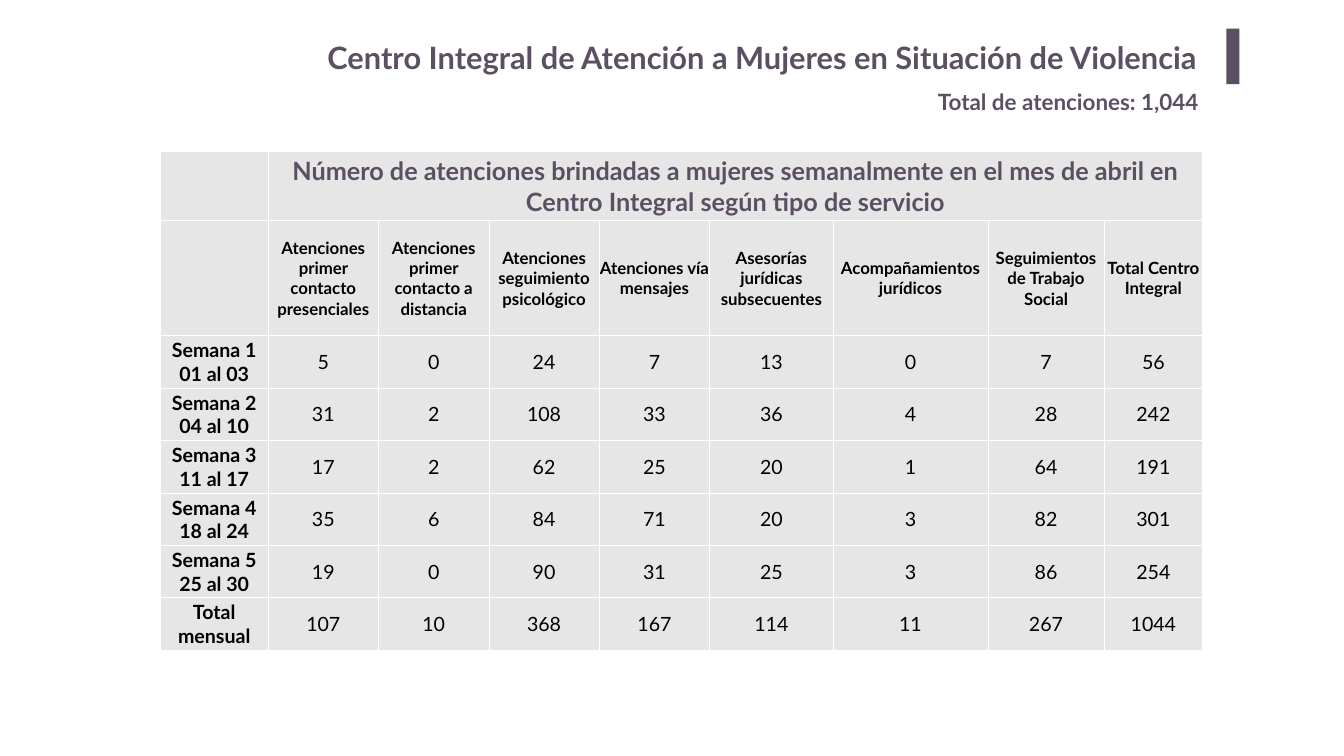
from dataclasses import dataclass

from lxml.etree import SubElement
from pptx import Presentation
from pptx.dml.color import RGBColor
from pptx.enum.shapes import MSO_SHAPE
from pptx.enum.text import MSO_ANCHOR, PP_ALIGN
from pptx.oxml.ns import qn
from pptx.slide import Slide
from pptx.table import Table, _Cell
from pptx.text.text import TextFrame
from pptx.util import Pt

COLORS = {"plum": "5B4F63", "cell": "E7E6E6", "border": "FFFFFF", "ink": "000000"}
FONT = "Lato"

COLUMN_WIDTHS = [154, 157.7, 157.7, 157.7, 157.7, 176.4, 221, 166.3, 140.4]
HEADING_HEIGHT, SERVICES_HEIGHT, WEEK_HEIGHT = 99.4, 164, 74.9

HEADING = ("Número de atenciones brindadas a mujeres semanalmente en el mes de abril "
           "en Centro Integral según tipo de servicio")
SERVICES = [
    "Atenciones primer contacto presenciales",
    "Atenciones primer contacto a distancia",
    "Atenciones seguimiento psicológico",
    "Atenciones vía mensajes",
    "Asesorías jurídicas subsecuentes",
    "Acompañamientos jurídicos",
    "Seguimientos de Trabajo Social",
    "Total Centro Integral",
]


@dataclass(frozen=True)
class Period:
    label: str
    counts: tuple[int, ...]


PERIODS = [
    Period("Semana 1\n01 al 03", (5, 0, 24, 7, 13, 0, 7, 56)),
    Period("Semana 2\n04 al 10", (31, 2, 108, 33, 36, 4, 28, 242)),
    Period("Semana 3\n11 al 17", (17, 2, 62, 25, 20, 1, 64, 191)),
    Period("Semana 4\n18 al 24", (35, 6, 84, 71, 20, 3, 82, 301)),
    Period("Semana 5\n25 al 30", (19, 0, 90, 31, 25, 3, 86, 254)),
    Period("Total mensual", (107, 10, 368, 167, 114, 11, 267, 1044)),
]


@dataclass(frozen=True)
class Caption:
    text: str
    left: float
    top: float
    width: float
    height: float
    size: float
    align: PP_ALIGN
    inset: float


CAPTIONS = [
    Caption("Centro Integral de Atención a Mujeres en Situación de Violencia",
            263.5, 48.2, 1461.6, 73.4, 44, PP_ALIGN.RIGHT, 7.2),
    Caption("Total de atenciones: 1,044",
            1332.7, 121.7, 396.7, 46, 32, PP_ALIGN.LEFT, 3.6),
]


def write(frame: TextFrame, text: str, *, size: float, color: str = "ink",
          bold: bool = True, align: PP_ALIGN = PP_ALIGN.CENTER) -> None:
    """Fill the frame's first paragraph; a newline becomes a line break."""
    paragraph = frame.paragraphs[0]
    paragraph.text = text
    paragraph.alignment = align
    for run in paragraph.runs:
        run.font.name = FONT
        run.font.size = Pt(size)
        run.font.bold = bold
        run.font.color.rgb = RGBColor.from_string(COLORS[color])


def draw_caption(slide: Slide, caption: Caption) -> None:
    box = slide.shapes.add_textbox(Pt(caption.left), Pt(caption.top),
                                   Pt(caption.width), Pt(caption.height))
    frame = box.text_frame
    frame.word_wrap = True
    frame.margin_left = frame.margin_right = Pt(2 * caption.inset)
    frame.margin_top = frame.margin_bottom = Pt(caption.inset)
    write(frame, caption.text, size=caption.size, color="plum", align=caption.align)


def draw_accent(slide: Slide) -> None:
    accent = slide.shapes.add_shape(MSO_SHAPE.RECTANGLE, Pt(1751.8), Pt(41),
                                    Pt(18.7), Pt(79.2))
    accent.shadow.inherit = False
    accent.fill.solid()
    accent.fill.fore_color.rgb = RGBColor.from_string(COLORS["plum"])
    accent.line.fill.background()


def style_cell(cell: _Cell) -> None:
    properties = cell._tc.get_or_add_tcPr()
    for side in ("a:lnL", "a:lnR", "a:lnT", "a:lnB"):
        line = SubElement(properties, qn(side), w=str(Pt(1)))
        fill = SubElement(line, qn("a:solidFill"))
        SubElement(fill, qn("a:srgbClr"), val=COLORS["border"])
    cell.fill.solid()
    cell.fill.fore_color.rgb = RGBColor.from_string(COLORS["cell"])
    cell.vertical_anchor = MSO_ANCHOR.MIDDLE
    cell.margin_left = cell.margin_right = cell.margin_top = Pt(0.7)
    cell.margin_bottom = Pt(0)


def fill_table(table: Table) -> None:
    table.cell(0, 1).merge(table.cell(0, len(SERVICES)))
    write(table.cell(0, 1).text_frame, HEADING, size=36, color="plum")
    for column, service in enumerate(SERVICES, 1):
        write(table.cell(1, column).text_frame, service, size=24)
    for row, period in enumerate(PERIODS, 2):
        write(table.cell(row, 0).text_frame, period.label, size=28)
        for column, count in enumerate(period.counts, 1):
            write(table.cell(row, column).text_frame, str(count), size=28, bold=False)


def draw_attention_table(slide: Slide) -> None:
    heights = [HEADING_HEIGHT, SERVICES_HEIGHT] + [WEEK_HEIGHT] * len(PERIODS)
    table = slide.shapes.add_table(len(heights), len(COLUMN_WIDTHS), Pt(229), Pt(216),
                                   Pt(sum(COLUMN_WIDTHS)), Pt(sum(heights))).table
    table.first_row = table.horz_banding = False
    for column, width in zip(table.columns, COLUMN_WIDTHS):
        column.width = Pt(width)
    for row, height in zip(table.rows, heights):
        row.height = Pt(height)
    for cell in table.iter_cells():
        style_cell(cell)
    fill_table(table)


def main() -> None:
    presentation = Presentation()
    presentation.slide_width = Pt(1920)
    presentation.slide_height = Pt(1080)
    slide = presentation.slides.add_slide(presentation.slide_layouts[6])
    draw_accent(slide)
    draw_attention_table(slide)
    for caption in CAPTIONS:
        draw_caption(slide, caption)
    presentation.save("out.pptx")


if __name__ == "__main__":
    main()
